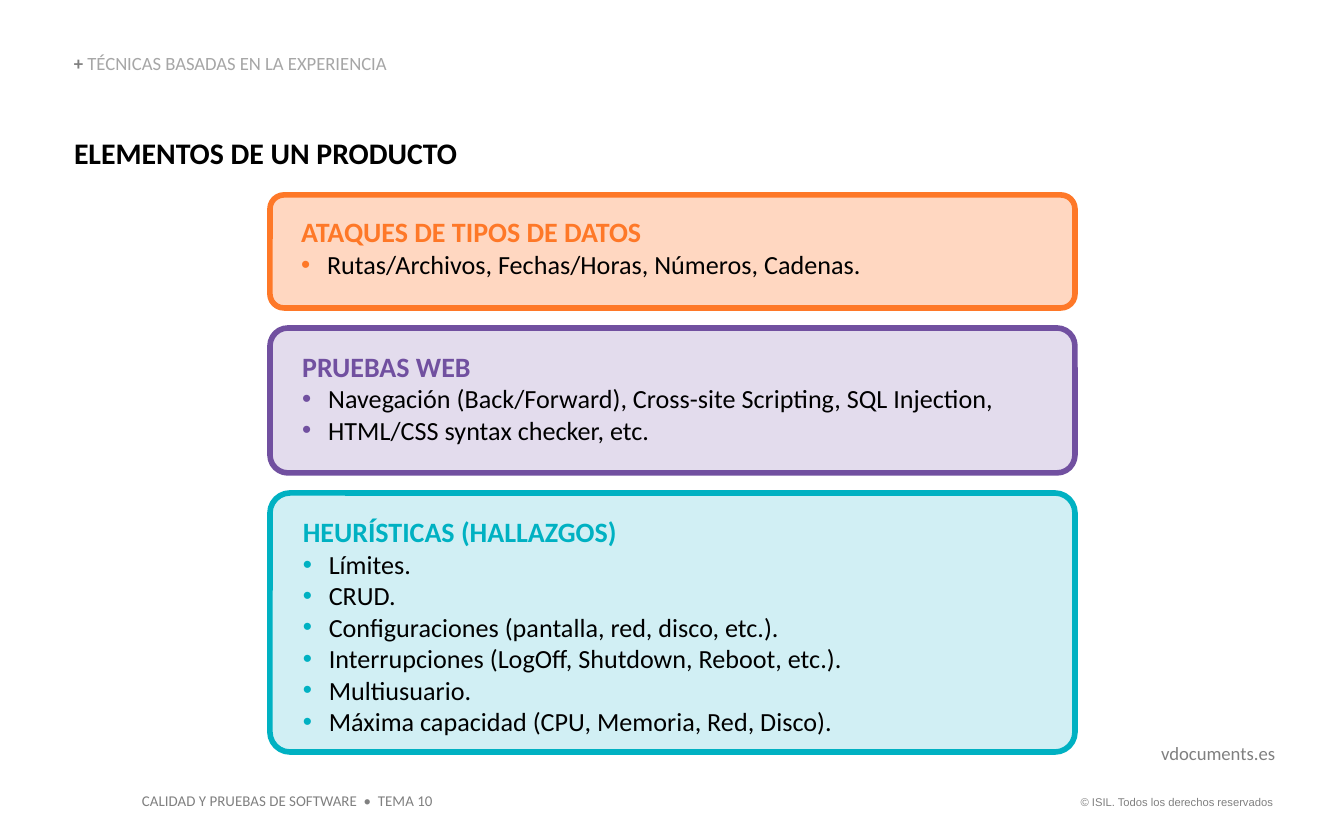
import pptx
import pptx.util
import pptx.dml.color
import pptx.enum.shapes
import pptx.enum.text
import pptx.oxml.ns
import lxml.etree

SCALE = 914400 / 134.4
ALIGN = pptx.enum.text.PP_ALIGN
ANCHOR = pptx.enum.text.MSO_ANCHOR

THEME = {
    "font": "Calibri",
    "legal_font": "Arial",
    "black": "000000",
    "gray": "808080",
    "light_gray": "A6A6A6",
    "orange": ("FE7828", "FFD7C1"),
    "purple": ("7150A0", "E3DCED"),
    "teal": ("00B1C2", "D1EFF4"),
    "title": 16,
    "heading": 15,
    "body": 14,
    "label": 10,
    "footer": 8,
    "legal": 6,
}


def px(value):
    return pptx.util.Emu(round(value * SCALE))


def add_span(para, text, size, color, bold=False, font=THEME["font"]):
    span = para.add_run()
    span.text = text
    span.font.name = font
    span.font.size = pptx.util.Pt(size)
    span.font.bold = bold
    span.font.color.rgb = pptx.dml.color.RGBColor.from_string(color)


deck = pptx.Presentation()
deck.slide_width = px(1344)
deck.slide_height = px(840)
page = deck.slides.add_slide(deck.slide_layouts[6])

labels = [
    ((1059, 789, 227, 27), (13, 7), False, ALIGN.RIGHT, ANCHOR.TOP,
     [("© ISIL. Todos los derechos reservados", THEME["legal"], THEME["gray"], False, THEME["legal_font"])]),
    ((129, 785, 318, 32), (13, 7), False, ALIGN.LEFT, ANCHOR.TOP,
     [("CALIDAD Y PRUEBAS DE SOFTWARE  •  TEMA 10", THEME["footer"], THEME["gray"])]),
    ((74, 135, 571, 36), (0, 0), True, ALIGN.LEFT, ANCHOR.TOP,
     [("ELEMENTOS DE UN PRODUCTO", THEME["title"], THEME["black"], True)]),
    ((1104, 742, 171, 23), (0, 0), True, ALIGN.RIGHT, ANCHOR.TOP,
     [("vdocuments.es", THEME["label"], THEME["gray"])]),
    ((74, 55, 485, 20), (0, 0), True, ALIGN.LEFT, ANCHOR.BOTTOM,
     [("+ ", THEME["label"], THEME["gray"], True),
      ("TÉCNICAS BASADAS EN LA EXPERIENCIA", THEME["label"], THEME["light_gray"])]),
]
for place, (side, edge), wrap, align, anchor, spans in labels:
    box = page.shapes.add_textbox(*map(px, place))
    frame = box.text_frame
    frame.margin_left = frame.margin_right = px(side)
    frame.margin_top = frame.margin_bottom = px(edge)
    frame.word_wrap = wrap
    frame.auto_size = pptx.enum.text.MSO_AUTO_SIZE.SHAPE_TO_FIT_TEXT
    frame.vertical_anchor = anchor
    para = frame.paragraphs[0]
    para.alignment = align
    if anchor == ANCHOR.BOTTOM:
        para.line_spacing = 0.9
    for span in spans:
        add_span(para, *span)

cards = [
    ("orange", 113, 14, "ATAQUES DE TIPOS DE DATOS",
     ["Rutas/Archivos, Fechas/Horas, Números, Cadenas."]),
    ("purple", 145, 18, "PRUEBAS WEB",
     ["Navegación (Back/Forward), Cross-site Scripting, SQL Injection,",
      "HTML/CSS syntax checker, etc."]),
    ("teal", 259, 20, "HEURÍSTICAS (HALLAZGOS)",
     ["Límites.",
      "CRUD.",
      "Configuraciones (pantalla, red, disco, etc.).",
      "Interrupciones (LogOff, Shutdown, Reboot, etc.).",
      "Multiusuario.",
      "Máxima capacidad (CPU, Memoria, Red, Disco)."]),
]
top = 195
gap = 20
for name, height, radius, heading, items in cards:
    accent, tint = THEME[name]
    card = page.shapes.add_shape(
        pptx.enum.shapes.MSO_SHAPE.ROUNDED_RECTANGLE, px(270), px(top), px(805), px(height))
    card.adjustments[0] = radius / height
    card.shadow.inherit = False
    card.fill.solid()
    card.fill.fore_color.rgb = pptx.dml.color.RGBColor.from_string(tint)
    card.line.color.rgb = pptx.dml.color.RGBColor.from_string(accent)
    card.line.width = pptx.util.Pt(3)
    frame = card.text_frame
    frame.word_wrap = True
    frame.vertical_anchor = ANCHOR.TOP
    frame.margin_left = px(27)
    frame.margin_top = px(16)
    frame.margin_right = px(5)
    frame.margin_bottom = px(7)
    para = frame.paragraphs[0]
    para.alignment = ALIGN.LEFT
    add_span(para, heading, THEME["heading"], accent, True)
    for item in items:
        para = frame.add_paragraph()
        para.alignment = ALIGN.LEFT
        para.level = 1
        props = para._p.get_or_add_pPr()
        props.set("marL", str(px(26)))
        props.set("indent", str(-px(26)))
        bullet_color = lxml.etree.SubElement(props, pptx.oxml.ns.qn("a:buClr"))
        lxml.etree.SubElement(bullet_color, pptx.oxml.ns.qn("a:srgbClr"), val=accent)
        lxml.etree.SubElement(props, pptx.oxml.ns.qn("a:buFont"), typeface="Arial")
        lxml.etree.SubElement(props, pptx.oxml.ns.qn("a:buChar"), char="•")
        add_span(para, item, THEME["body"], THEME["black"])
    top += height + gap

deck.save("out.pptx")
